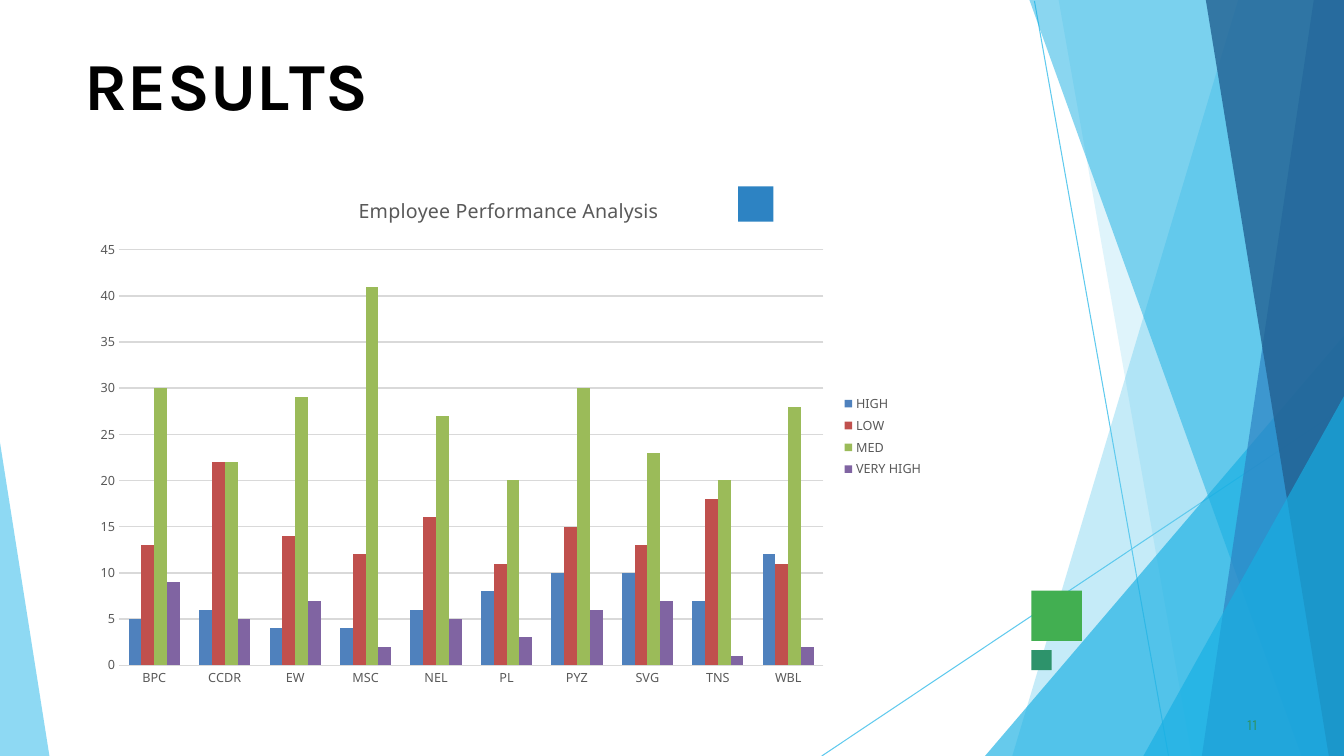
from lxml import etree
from pptx import Presentation
from pptx.chart.data import CategoryChartData
from pptx.dml.color import RGBColor
from pptx.enum.chart import XL_CHART_TYPE, XL_LEGEND_POSITION, XL_TICK_MARK
from pptx.enum.shapes import MSO_CONNECTOR, MSO_SHAPE
from pptx.enum.text import MSO_ANCHOR, PP_ALIGN
from pptx.oxml.ns import qn
from pptx.util import Inches, Pt

WIDTH, HEIGHT = 13.33, 7.5
BLACK = RGBColor(0x00, 0x00, 0x00)
GREY = RGBColor(0x59, 0x59, 0x59)
GRID = RGBColor(0xD9, 0xD9, 0xD9)
SKY = RGBColor(0x5F, 0xCA, 0xEE)
CYAN = RGBColor(0x17, 0xAF, 0xE3)
BLUE = RGBColor(0x2D, 0x83, 0xC3)
NAVY = RGBColor(0x22, 0x61, 0x92)
GREEN = RGBColor(0x42, 0xAF, 0x51)
TEAL = RGBColor(0x2D, 0x93, 0x6B)
HEAD_FONT, CHART_FONT = "Karla", "Noto Sans"

# Title letters with their spacing in points
TITLE = [("R", 0), ("E", -0.4), ("S", 0.1), ("U", -0.3), ("L", -4), ("TS", 0)]
CHART_TITLE = "Employee Performance Analysis"
UNITS = ["BPC", "CCDR", "EW", "MSC", "NEL", "PL", "PYZ", "SVG", "TNS", "WBL"]
SERIES = [
    ("HIGH", RGBColor(0x4F, 0x81, 0xBD), [5, 6, 4, 4, 6, 8, 10, 10, 7, 12]),
    ("LOW", RGBColor(0xC0, 0x50, 0x4D), [13, 22, 14, 12, 16, 11, 15, 13, 18, 11]),
    ("MED", RGBColor(0x9B, 0xBB, 0x59), [30, 22, 29, 41, 27, 20, 30, 23, 20, 28]),
    ("VERY HIGH", RGBColor(0x80, 0x64, 0xA2), [9, 5, 7, 2, 5, 3, 6, 7, 1, 2]),
]

LINES = [(10.26, 0.01, 11.59, HEIGHT), (WIDTH, 4.04, 8.15, HEIGHT)]
# Facets on the right edge: top y, top left x, bottom left x, colour, opacity %
FACETS = [
    (0, 12.28, 10.04, SKY, 36),
    (0, 10.5, 11.82, SKY, 20),
    (3.33, WIDTH, 9.77, CYAN, 66),
    (0, 10.21, 12.91, CYAN, 50),
    (0, 13.03, 11.92, BLUE, 70),
    (0, 11.96, 13.18, NAVY, 80),
    (3.93, WIDTH, 11.34, CYAN, 66),
]
LEFT_FACET = [(0, 4.39), (0, HEIGHT), (0.49, HEIGHT)]
# Left, top, side, colour
SQUARES = [(10.23, 5.86, 0.5, GREEN), (7.32, 1.85, 0.35, BLUE), (10.23, 6.45, 0.2, TEAL)]


def paint(shape, color, opacity=100):
    shape.shadow.inherit = False
    shape.line.fill.background()
    shape.fill.solid()
    shape.fill.fore_color.rgb = color
    if opacity < 100:
        clr = shape.fill._xPr.find(qn("a:solidFill"))[0]
        etree.SubElement(clr, qn("a:alpha")).set("val", str(opacity * 1000))


def add_facet(s, points, color, opacity):
    (x, y), *rest = [(Inches(px), Inches(py)) for px, py in points]
    builder = s.shapes.build_freeform(x, y)
    builder.add_line_segments(rest, close=True)
    paint(builder.convert_to_shape(), color, opacity)


def add_line(s, x1, y1, x2, y2):
    line = s.shapes.add_connector(
        MSO_CONNECTOR.STRAIGHT, Inches(x1), Inches(y1), Inches(x2), Inches(y2))
    line.line.color.rgb = SKY
    line.line.width = Pt(0.75)
    etree.SubElement(line._element.spPr, qn("a:effectLst"))


def set_font(font, size, color, name=CHART_FONT, bold=False):
    font.name, font.size, font.bold = name, Pt(size), bold
    font.color.rgb = color


def write(shape, runs, size, color, bold=False, before=0, indent=0.01):
    """Fill a shape with one paragraph of (text, letter spacing) runs."""
    tf = shape.text_frame
    tf.word_wrap = True
    tf.vertical_anchor = MSO_ANCHOR.TOP
    tf.margin_left = tf.margin_right = tf.margin_bottom = 0
    tf.margin_top = Inches(0.01)
    p = tf.paragraphs[0]
    p.alignment = PP_ALIGN.LEFT
    p.line_spacing = 1.0
    p.space_before = Pt(before)
    p._p.get_or_add_pPr().set("marL", str(Inches(indent)))
    for text, spacing in runs:
        r = p.add_run()
        r.text = text
        set_font(r.font, size, color, HEAD_FONT, bold)
        r._r.get_or_add_rPr().set("spc", str(round(spacing * 100)))


def add_performance_chart(s):
    data = CategoryChartData()
    data.categories = UNITS
    for name, _, values in SERIES:
        data.add_series(name, values)
    chart = s.shapes.add_chart(
        XL_CHART_TYPE.COLUMN_CLUSTERED, Inches(0.83), Inches(1.74),
        Inches(8.43), Inches(5.18), data).chart
    set_font(chart.font, 10, BLACK)

    chart.has_title = True
    chart.chart_title.include_in_layout = False
    r = chart.chart_title.text_frame.paragraphs[0].add_run()
    r.text = CHART_TITLE
    set_font(r.font, 14, GREY)

    chart.has_legend = True
    chart.legend.position = XL_LEGEND_POSITION.RIGHT
    chart.legend.include_in_layout = False
    set_font(chart.legend.font, 9, GREY)

    plot = chart.plots[0]
    plot.gap_width, plot.overlap, plot.vary_by_categories = 150, 0, False
    for series, (_, color, _) in zip(plot.series, SERIES):
        series.format.fill.solid()
        series.format.fill.fore_color.rgb = color

    for axis in (chart.category_axis, chart.value_axis):
        axis.major_tick_mark = axis.minor_tick_mark = XL_TICK_MARK.NONE
        axis.format.line.fill.background()
        set_font(axis.tick_labels.font, 9, GREY)
    axis = chart.value_axis
    axis.minimum_scale, axis.maximum_scale, axis.major_unit = 0, 45, 5
    axis.has_major_gridlines = True
    axis.major_gridlines.format.line.color.rgb = GRID
    axis.major_gridlines.format.line.width = Pt(1)


def main():
    prs = Presentation()
    prs.slide_width, prs.slide_height = Inches(WIDTH), Inches(HEIGHT)
    s = prs.slides.add_slide(prs.slide_layouts[5])

    for ends in LINES:
        add_line(s, *ends)
    for top, x_top, x_bottom, color, opacity in FACETS:
        points = [(WIDTH, top), (x_bottom, HEIGHT), (WIDTH, HEIGHT)]
        if x_top < WIDTH:
            points.insert(1, (x_top, top))
        add_facet(s, points, color, opacity)
    add_facet(s, LEFT_FACET, SKY, 70)

    add_performance_chart(s)
    for left, top, side, color in SQUARES:
        square = s.shapes.add_shape(
            MSO_SHAPE.RECTANGLE, Inches(left), Inches(top), Inches(side), Inches(side))
        paint(square, color)

    title = s.shapes.title
    title.left, title.top = Inches(0.83), Inches(0.42)
    title.width, title.height = Inches(11.68), Inches(0.83)
    write(title, TITLE, 48, BLACK, bold=True, before=1)

    number = s.shapes.add_textbox(Inches(12.33), Inches(7.08), Inches(0.25), Inches(0.21))
    write(number, [("11", 0.1)], 11, TEAL, before=0.6, indent=0.04)

    prs.save("out.pptx")


if __name__ == "__main__":
    main()
